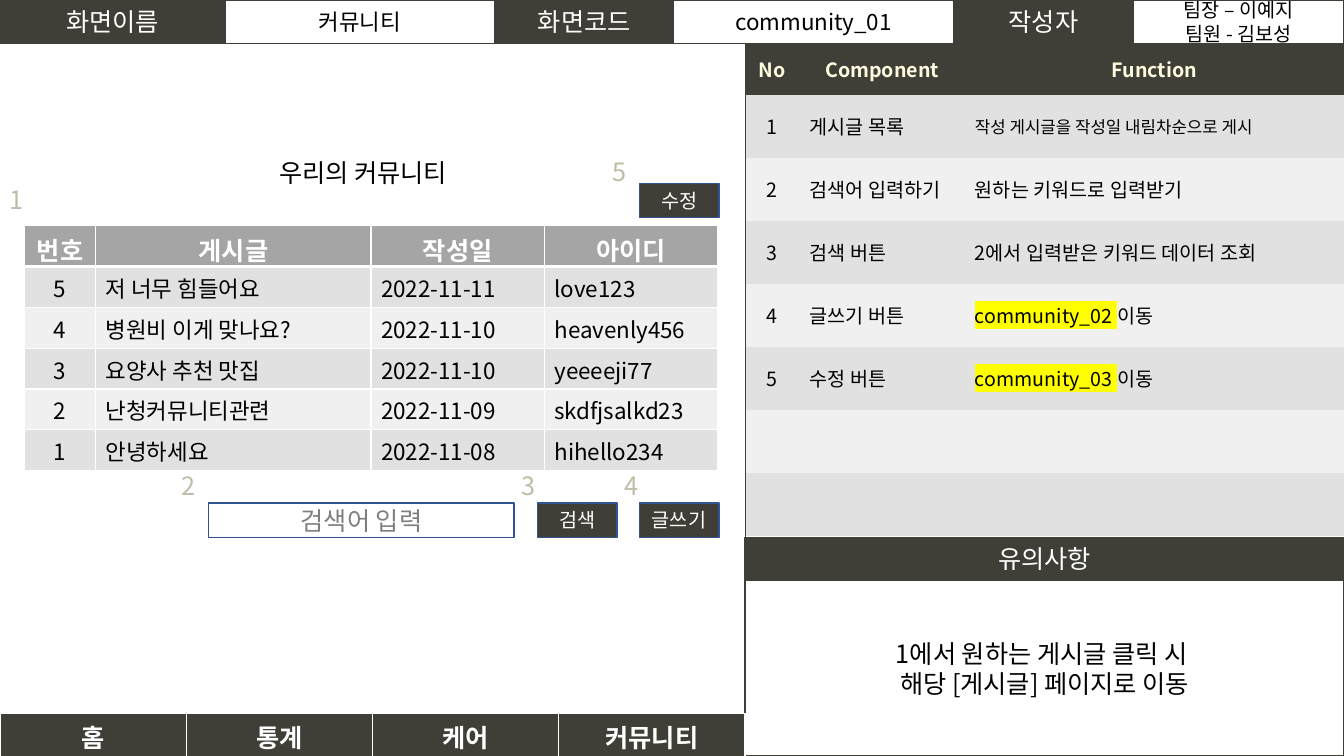
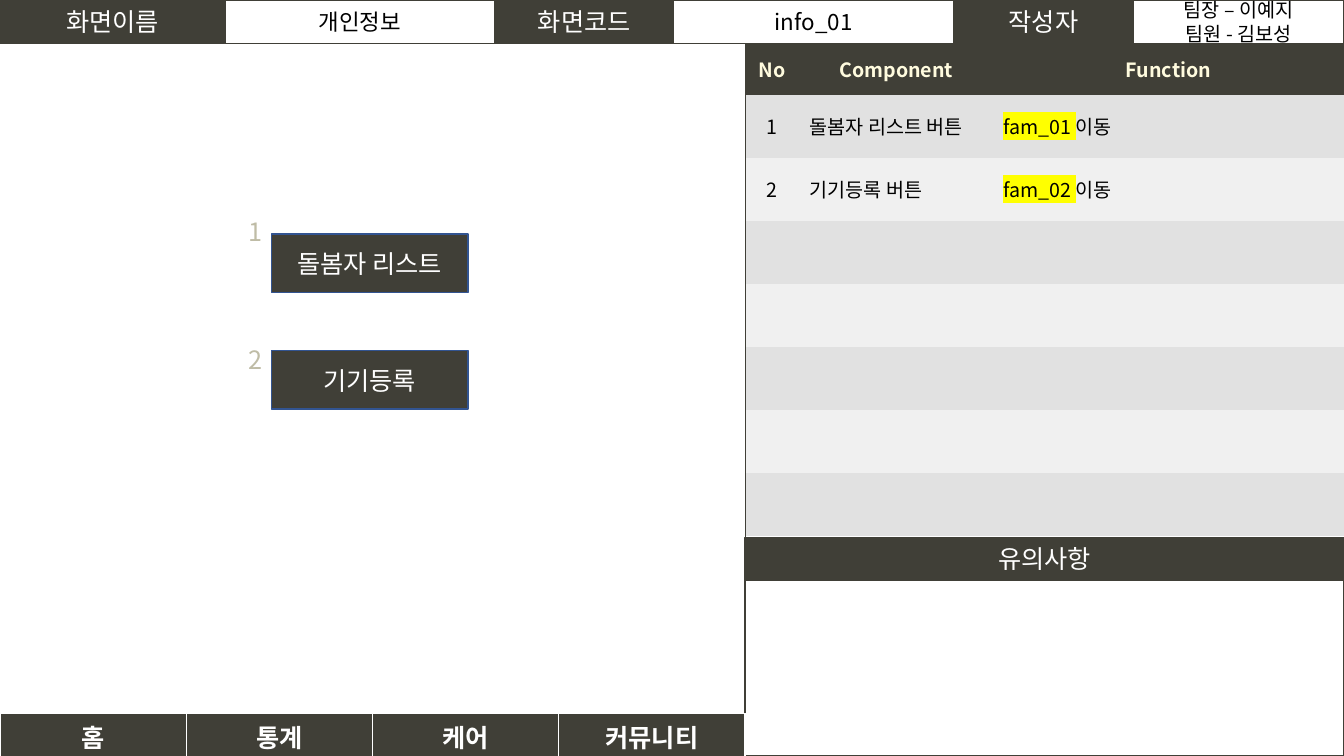
from dataclasses import dataclass

from lxml.etree import SubElement
from pptx import Presentation
from pptx.dml.color import RGBColor
from pptx.enum.shapes import MSO_CONNECTOR, MSO_SHAPE
from pptx.enum.text import MSO_ANCHOR, MSO_AUTO_SIZE, PP_ALIGN
from pptx.oxml.ns import qn
from pptx.util import Inches, Pt


@dataclass(frozen=True)
class Theme:
    font: str = "Noto Sans CJK KR"
    dark: str = "403F37"
    white: str = "FFFFFF"
    black: str = "000000"
    cream: str = "FFFBDE"
    marker: str = "BFBCA6"
    hint: str = "7F7F7F"
    heading: str = "A5A5A5"
    bands: tuple = ("E1E1E1", "F0F0F0")
    highlight: str = "FFFF00"
    button_line: str = "325491"
    input_line: str = "31538F"
    rule: str = "4472C4"
    large: int = 18
    medium: int = 16
    small: int = 14
    tiny: int = 12


THEME = Theme()
NO_STYLE_NO_GRID = "{2D5ABB26-0587-4C30-8999-92F81FD0307C}"

# Shared layout, in inches
PAGE_WIDTH, PAGE_HEIGHT = 13.33, 7.5
BAR_HEIGHT = 0.43
PANEL_LEFT = 7.39
PANEL_WIDTH = PAGE_WIDTH - PANEL_LEFT
NOTICE_TOP, NOTICE_BODY_TOP = 5.33, 5.76
HEADER_EDGES = (0, 2.23, 4.91, 6.68, 9.46, 11.24, PAGE_WIDTH)
SPEC_ROWS = 7
AUTHORS = "팀장 – 이예지\n팀원 - 김보성"
MENU = ("홈", "통계", "케어", "커뮤니티")


@dataclass(frozen=True)
class TextStyle:
    size: int
    color: str
    bold: bool = False
    align: PP_ALIGN = PP_ALIGN.CENTER


@dataclass(frozen=True)
class Component:
    name: str
    function: str
    link: str = ""
    size: int = THEME.small


LABEL = TextStyle(THEME.large, THEME.white)
VALUE = TextStyle(THEME.medium, THEME.black)
BUTTON = TextStyle(THEME.small, THEME.white)
TABLE_HEAD = TextStyle(THEME.large, THEME.white, bold=True)


def rgb(color):
    return RGBColor.from_string(color)


# Text
def format_span(span, style, highlight=False):
    span.font.size = Pt(style.size)
    span.font.bold = style.bold
    span.font.color.rgb = rgb(style.color)
    properties = span.font._element
    if highlight:
        mark = SubElement(properties, qn("a:highlight"))
        SubElement(mark, qn("a:srgbClr"), val=THEME.highlight)
    span.font.name = THEME.font
    SubElement(properties, qn("a:ea"), typeface=THEME.font)


def write(frame, text, style, link=""):
    frame.text = link or text
    if link:
        frame.paragraphs[0].add_run().text = text
    for para in frame.paragraphs:
        para.alignment = style.align
        for index, span in enumerate(para.runs):
            format_span(span, style, highlight=bool(link) and index == 0)


# Shapes
def add_box(shapes, area, text, style, fill=None, line=THEME.dark):
    box = shapes.add_shape(MSO_SHAPE.RECTANGLE, *map(Inches, area))
    box.shadow.inherit = False
    if fill:
        box.fill.solid()
        box.fill.fore_color.rgb = rgb(fill)
    else:
        box.fill.background()
    box.line.color.rgb = rgb(line)
    box.line.width = Pt(1)
    box.text_frame.vertical_anchor = MSO_ANCHOR.MIDDLE
    write(box.text_frame, text, style)


def add_button(page, area, text, style=BUTTON):
    add_box(page.shapes, area, text, style, THEME.dark, THEME.button_line)


def add_label(page, area, text, color):
    box = page.shapes.add_textbox(*map(Inches, area))
    box.text_frame.word_wrap = False
    box.text_frame.auto_size = MSO_AUTO_SIZE.SHAPE_TO_FIT_TEXT
    write(box.text_frame, text, TextStyle(THEME.large, color, align=PP_ALIGN.LEFT))


def add_marker(page, left, top, number):
    add_label(page, (left, top, 0.34, 0.4), str(number), THEME.marker)


def add_line(shapes, start, end, color):
    line = shapes.add_connector(MSO_CONNECTOR.STRAIGHT, *map(Inches, start + end))
    line.line.color.rgb = rgb(color)
    line.line.width = Pt(0.5)
    SubElement(line._element.spPr, qn("a:effectLst"))


# Tables
def add_grid(page, left, top, columns, rows):
    area = (left, top, sum(columns), sum(rows))
    table = page.shapes.add_table(len(rows), len(columns), *map(Inches, area)).table
    table.first_row = table.horz_banding = False
    table._tbl.tblPr.find(qn("a:tableStyleId")).text = NO_STYLE_NO_GRID
    for column, width in zip(table.columns, columns):
        column.width = Inches(width)
    for row, height in zip(table.rows, rows):
        row.height = Inches(height)
    return table


def add_borders(cell, **widths):
    properties = cell._tc.get_or_add_tcPr()
    for side, width in widths.items():
        line = SubElement(properties, qn(f"a:ln{side}"), w=str(Pt(width)))
        fill = SubElement(line, qn("a:solidFill"))
        SubElement(fill, qn("a:srgbClr"), val=THEME.white)


def fill_cell(cell, color):
    cell.fill.solid()
    cell.fill.fore_color.rgb = rgb(color)


def band_color(row):
    return THEME.bands[(row - 1) % 2]


def add_heading_row(table, titles, color):
    for cell, title in zip(table.rows[0].cells, titles):
        add_borders(cell, L=1, R=1, T=1, B=3)
        fill_cell(cell, color)
        write(cell.text_frame, title, TABLE_HEAD)


def add_post_table(page, titles, posts):
    table = add_grid(page, 0.24, 2.24, (0.71, 2.73, 1.72, 1.72),
                     [0.405] * (len(posts) + 1))
    add_heading_row(table, titles, THEME.heading)
    for row, post in enumerate(posts, 1):
        for column, text in enumerate(post):
            cell = table.cell(row, column)
            add_borders(cell, L=1, R=1, B=1)
            fill_cell(cell, band_color(row))
            align = PP_ALIGN.LEFT if column else PP_ALIGN.CENTER
            write(cell.text_frame, text,
                  TextStyle(THEME.medium, THEME.black, align=align))


def add_spec_table(page, components, name_width):
    number_width = 0.54
    columns = (number_width, name_width, PANEL_WIDTH - number_width - name_width)
    table = add_grid(page, PANEL_LEFT, BAR_HEIGHT, columns,
                     [0.51] + [0.625] * SPEC_ROWS)
    for row in range(SPEC_ROWS + 1):
        for cell in table.rows[row].cells:
            fill_cell(cell, band_color(row) if row else THEME.dark)
            cell.vertical_anchor = MSO_ANCHOR.MIDDLE
    head = TextStyle(THEME.small, THEME.cream, bold=True)
    for cell, title in zip(table.rows[0].cells, ("No", "Component", "Function")):
        write(cell.text_frame, title, head)
    for row, item in enumerate(components, 1):
        number, name, function = (cell.text_frame for cell in table.rows[row].cells)
        write(number, str(row), TextStyle(THEME.small, THEME.black))
        write(name, item.name,
              TextStyle(THEME.small, THEME.black, align=PP_ALIGN.LEFT))
        write(function, item.function,
              TextStyle(item.size, THEME.black, align=PP_ALIGN.LEFT), item.link)


# Parts shared by every page
def add_header(page, screen_name, screen_code):
    shapes = page.shapes.add_group_shape().shapes
    texts = ("화면이름", screen_name, "화면코드", screen_code, "작성자", AUTHORS)
    authors = TextStyle(THEME.small, THEME.black)
    styles = (LABEL, VALUE, LABEL, VALUE, LABEL, authors)
    add_line(shapes, (2.62, BAR_HEIGHT), (13.27, BAR_HEIGHT), THEME.rule)
    for left, right, text, style in zip(HEADER_EDGES, HEADER_EDGES[1:], texts, styles):
        fill = THEME.dark if style is LABEL else THEME.white
        add_box(shapes, (left, 0, right - left, BAR_HEIGHT), text, style, fill)


def add_notice(page, text):
    shapes = page.shapes.add_group_shape().shapes
    add_box(shapes, (PANEL_LEFT, NOTICE_TOP, PANEL_WIDTH, BAR_HEIGHT),
            "유의사항", LABEL, THEME.dark)
    body = (PANEL_LEFT, NOTICE_BODY_TOP, PANEL_WIDTH, PAGE_HEIGHT - NOTICE_BODY_TOP)
    add_box(shapes, body, text, TextStyle(THEME.large, THEME.black), THEME.white)


def add_menu(page):
    table = add_grid(page, 0, 7.08, [PANEL_LEFT / len(MENU)] * len(MENU), [0.41])
    add_heading_row(table, MENU, THEME.dark)


def add_screen(deck, name, code, components, name_width, notice=""):
    page = deck.slides.add_slide(deck.slide_layouts[6])
    add_header(page, name, code)
    add_notice(page, notice)
    add_spec_table(page, components, name_width)
    add_line(page.shapes, (PANEL_LEFT, BAR_HEIGHT), (PANEL_LEFT, PAGE_HEIGHT), THEME.dark)
    add_menu(page)
    return page


# Pages
def add_community_page(deck):
    components = (
        Component("게시글 목록", "작성 게시글을 작성일 내림차순으로 게시", size=THEME.tiny),
        Component("검색어 입력하기", "원하는 키워드로 입력받기"),
        Component("검색 버튼", "2에서 입력받은 키워드 데이터 조회"),
        Component("글쓰기 버튼", "이동", "community_02 "),
        Component("수정 버튼", "이동", "community_03 "),
    )
    page = add_screen(deck, "커뮤니티", "community_01", components, 1.64,
                      "1에서 원하는 게시글 클릭 시 \n해당 [게시글] 페이지로 이동")
    add_label(page, (2.67, 1.51, 2.06, 0.4), "우리의 커뮤니티", THEME.black)
    add_post_table(page, ("번호", "게시글", "작성일", "아이디"), (
        ("5", "저 너무 힘들어요", "2022-11-11", "love123"),
        ("4", "병원비 이게 맞나요?", "2022-11-10", "heavenly456"),
        ("3", "요양사 추천 맛집", "2022-11-10", "yeeeeji77"),
        ("2", "난청커뮤니티관련", "2022-11-09", "skdfjsalkd23"),
        ("1", "안녕하세요", "2022-11-08", "hihello234"),
    ))
    add_box(page.shapes, (2.07, 4.99, 3.03, 0.34), "검색어 입력",
            TextStyle(THEME.large, THEME.hint), line=THEME.input_line)
    for left, top, text in ((5.33, 4.99, "검색"), (6.34, 4.99, "글쓰기"),
                            (6.34, 1.82, "수정")):
        add_button(page, (left, top, 0.79, 0.34), text)
    markers = ((0, 1.78), (1.7, 4.62), (5.07, 4.62), (6.1, 4.62), (5.98, 1.5))
    for number, (left, top) in enumerate(markers, 1):
        add_marker(page, left, top, number)


def add_profile_page(deck):
    components = (
        Component("돌봄자 리스트 버튼", "이동", "fam_01 "),
        Component("기기등록 버튼", "이동", "fam_02 "),
    )
    page = add_screen(deck, "개인정보", "info_01", components, 1.92)
    buttons = (("돌봄자 리스트", 2.32, 2.1), ("기기등록", 3.48, 3.37))
    for number, (text, top, marker_top) in enumerate(buttons, 1):
        add_button(page, (2.69, top, 1.95, 0.58), text, LABEL)
        add_marker(page, 2.37, marker_top, number)


def main():
    deck = Presentation()
    deck.slide_width = Inches(PAGE_WIDTH)
    deck.slide_height = Inches(PAGE_HEIGHT)
    add_community_page(deck)
    add_profile_page(deck)
    deck.save("out.pptx")


if __name__ == "__main__":
    main()
